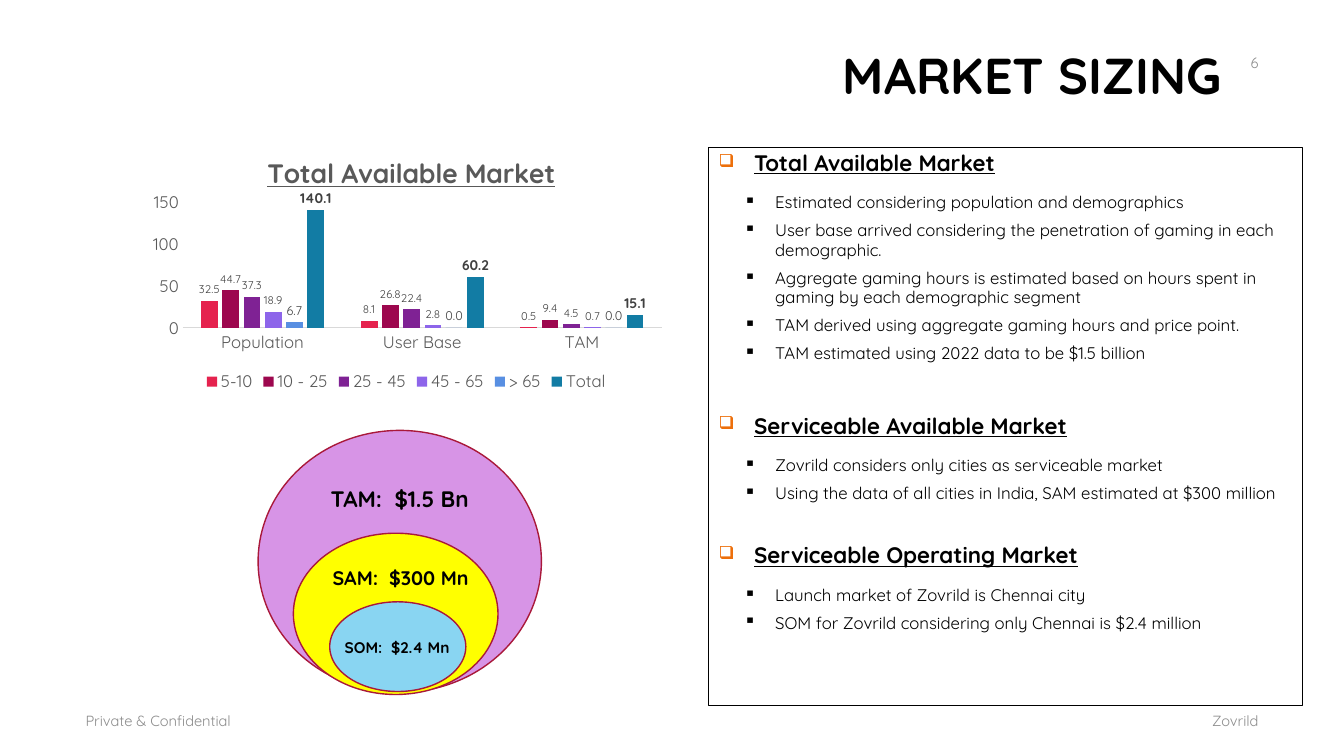
from dataclasses import dataclass

from lxml import etree
from pptx import Presentation
from pptx.chart.data import CategoryChartData
from pptx.dml.color import RGBColor
from pptx.enum.chart import XL_CHART_TYPE, XL_LABEL_POSITION, XL_LEGEND_POSITION, XL_TICK_MARK
from pptx.enum.shapes import MSO_SHAPE
from pptx.enum.text import MSO_ANCHOR, PP_ALIGN
from pptx.oxml.ns import qn
from pptx.util import Inches, Pt

FONT = "Quicksand"
BLACK = RGBColor(0x00, 0x00, 0x00)
FOOTER_GRAY = RGBColor(0x8C, 0x8C, 0x8C)
AXIS_GRAY = RGBColor(0x59, 0x59, 0x59)
LABEL_GRAY = RGBColor(0x40, 0x40, 0x40)
LINE_GRAY = RGBColor(0xD9, 0xD9, 0xD9)
ORANGE = RGBColor(0xED, 0x6F, 0x0A)
CRIMSON = RGBColor(0xA9, 0x19, 0x3A)
ORCHID = RGBColor(0xD7, 0x94, 0xE6)
YELLOW = RGBColor(0xFF, 0xFF, 0x00)
SKY = RGBColor(0x89, 0xD5, 0xF2)

LEFT, RIGHT, CENTER = PP_ALIGN.LEFT, PP_ALIGN.RIGHT, PP_ALIGN.CENTER
TOP, MIDDLE = MSO_ANCHOR.TOP, MSO_ANCHOR.MIDDLE
OVAL, RECTANGLE = MSO_SHAPE.OVAL, MSO_SHAPE.RECTANGLE
NO_TICK = XL_TICK_MARK.NONE
Box = tuple[float, float, float, float]


@dataclass
class AgeGroup:
    name: str
    values: tuple[float, float, float]
    color: RGBColor
    label_size: int = 8
    bold: bool = False


@dataclass
class Market:
    oval: Box
    fill: RGBColor
    label: str
    label_box: Box
    size: int


@dataclass
class Section:
    heading: str
    space_before: float
    points: list[str]


AGE_GROUPS = [
    AgeGroup("5-10", (32.5, 8.1, 0.5), RGBColor(0xE5, 0x22, 0x4E)),
    AgeGroup("10 - 25", (44.7, 26.8, 9.4), RGBColor(0x9D, 0x07, 0x4E)),
    AgeGroup("25 - 45", (37.3, 22.4, 4.5), RGBColor(0x7F, 0x22, 0x94)),
    AgeGroup("45 - 65", (18.9, 2.8, 0.7), RGBColor(0x8D, 0x65, 0xEA)),
    AgeGroup("> 65", (6.7, 0, 0), RGBColor(0x58, 0x8F, 0xE2), 9),
    AgeGroup("Total", (140.1, 60.2, 15.1), RGBColor(0x12, 0x7C, 0xA4), 10, True),
]
MARKETS = [
    Market((2.56, 4.27, 2.81, 2.6), ORCHID, "TAM:  $1.5 Bn", (3.18, 4.76, 1.76, 0.37), 16),
    Market((2.91, 5.29, 2.03, 1.6), YELLOW, "SAM:  $300 Mn", (3.2, 5.57, 1.57, 0.34), 14),
    Market((3.27, 5.97, 1.35, 0.89), SKY, "SOM:  $2.4 Mn", (3.32, 6.28, 1.32, 0.29), 11),
]
SECTIONS = [
    Section("Total Available Market", 0, [
        "Estimated considering population and demographics",
        "User base arrived considering the penetration of gaming in each demographic.",
        "Aggregate gaming hours is estimated based on hours spent in gaming by each demographic segment",
        "TAM derived using aggregate gaming hours and price point.",
        "TAM estimated using 2022 data to be $1.5 billion",
    ]),
    Section("Serviceable Available Market", 36.5, [
        "Zovrild considers only cities as serviceable market",
        "Using the data of all cities in India, SAM estimated at $300 million",
    ]),
    Section("Serviceable Operating Market", 29.5, [
        "Launch market of Zovrild is Chennai city",
        "SOM for Zovrild considering only Chennai is $2.4 million",
    ]),
]


def style_font(font, size: float, color: RGBColor, bold: bool = False, underline: bool = False) -> None:
    font.name, font.size, font.bold, font.underline = FONT, Pt(size), bold, underline
    font.color.rgb = color


def add_text(page, text: str, box: Box, *, size: float, color: RGBColor = BLACK, bold: bool = False,
             align=LEFT, anchor=MIDDLE, wrap: bool = True) -> None:
    frame = page.shapes.add_textbox(*map(Inches, box)).text_frame
    frame.word_wrap, frame.vertical_anchor = wrap, anchor
    para = frame.paragraphs[0]
    para.alignment = align
    span = para.add_run()
    span.text = text
    style_font(span.font, size, color, bold)


def add_outlined_shape(page, kind, box: Box, line: RGBColor, width: float, fill: RGBColor | None = None):
    shape = page.shapes.add_shape(kind, *map(Inches, box))
    shape.shadow.inherit = False
    if fill is None:
        shape.fill.background()
    else:
        shape.fill.solid()
        shape.fill.fore_color.rgb = fill
    shape.line.color.rgb, shape.line.width = line, Pt(width)
    return shape


def add_bullet(para, mark: str, color: RGBColor, indent: float, hanging: float, percent: int = 100) -> None:
    props = para._p.get_or_add_pPr()
    props.set("marL", str(Inches(indent)))
    props.set("indent", str(-Inches(hanging)))
    tint = etree.SubElement(props, qn("a:buClr"))
    etree.SubElement(tint, qn("a:srgbClr")).set("val", str(color))
    etree.SubElement(props, qn("a:buSzPct")).set("val", str(percent * 1000))
    etree.SubElement(props, qn("a:buChar")).set("char", mark)


def add_sections(page, box: Box) -> None:
    frame = add_outlined_shape(page, RECTANGLE, box, BLACK, 0.75).text_frame
    frame.word_wrap, frame.vertical_anchor = True, TOP
    for number, section in enumerate(SECTIONS):
        para = frame.add_paragraph() if number else frame.paragraphs[0]
        add_bullet(para, "❑", ORANGE, 0.35, 0.35, 80)
        para.alignment, para.line_spacing, para.space_before = LEFT, 0.9, Pt(section.space_before)
        span = para.add_run()
        span.text = section.heading
        style_font(span.font, 16, BLACK, True, True)
        for position, point in enumerate(section.points):
            para = frame.add_paragraph()
            para.level = 1
            add_bullet(para, "▪", BLACK, 0.56, 0.31)
            para.alignment, para.line_spacing = LEFT, 0.97
            para.space_before = Pt(6 if position else 12)
            span = para.add_run()
            span.text = point
            style_font(span.font, 12, BLACK)


def place_chart_part(element, index: int, **fractions: float) -> None:
    for stale in element.findall(qn("c:layout")):
        element.remove(stale)
    layout = etree.Element(qn("c:layout"))
    manual = etree.SubElement(layout, qn("c:manualLayout"))
    settings = {"xMode": "edge", "yMode": "edge", **fractions}
    if "w" in fractions:
        settings = {"layoutTarget": "inner", **settings}
    for name, value in settings.items():
        etree.SubElement(manual, qn(f"c:{name}")).set("val", str(value))
    element.insert(index, layout)


def add_market_chart(page, box: Box) -> None:
    data = CategoryChartData(number_format="0.0")
    data.categories = ["Population", "User Base", "TAM"]
    for group in AGE_GROUPS:
        data.add_series(group.name, group.values)
    chart = page.shapes.add_chart(XL_CHART_TYPE.COLUMN_CLUSTERED, *map(Inches, box), data).chart
    style_font(chart.font, 10, BLACK)
    chart.has_title = True
    para = chart.chart_title.text_frame.paragraphs[0]
    span = para.add_run()
    span.text = "Total Available Market"
    style_font(span.font, 19, AXIS_GRAY, True, True)
    place_chart_part(chart.chart_title._element, 1, x=0.23, y=0.06)
    place_chart_part(chart._chartSpace.chart.plotArea, 0, x=0.08, y=0.26, w=0.9, h=0.48)
    chart.has_legend = True
    chart.legend.position = XL_LEGEND_POSITION.BOTTOM
    chart.legend.include_in_layout = False
    style_font(chart.legend.font, 12, AXIS_GRAY)
    for axis in (chart.category_axis, chart.value_axis):
        axis.major_tick_mark = axis.minor_tick_mark = NO_TICK
        axis.has_major_gridlines = False
        style_font(axis.tick_labels.font, 12, AXIS_GRAY)
    chart.category_axis.format.line.color.rgb = LINE_GRAY
    chart.category_axis.format.line.width = Pt(0.75)
    scale = chart.value_axis
    scale.format.line.fill.background()
    scale.minimum_scale, scale.maximum_scale, scale.major_unit = 0, 150, 50
    scale.tick_labels.number_format, scale.tick_labels.number_format_is_linked = "0", False
    plot = chart.plots[0]
    plot.gap_width, plot.overlap, plot.vary_by_categories = 219, -27, False
    for group, series in zip(AGE_GROUPS, plot.series):
        series.format.fill.solid()
        series.format.fill.fore_color.rgb = group.color
        labels = series.data_labels
        labels.show_value, labels.position = True, XL_LABEL_POSITION.OUTSIDE_END
        labels.number_format, labels.number_format_is_linked = "0.0", False
        style_font(labels.font, group.label_size, LABEL_GRAY, group.bold)


def main() -> None:
    deck = Presentation()
    deck.slide_width, deck.slide_height = Inches(13.33), Inches(7.5)
    page = deck.slides.add_slide(deck.slide_layouts[6])
    add_text(page, "MARKET SIZING", (0.71, 0.4, 11.5, 0.68), size=36, bold=True, align=RIGHT)
    add_text(page, "Zovrild", (9.4, 6.95, 3.18, 0.4), size=10.5, color=FOOTER_GRAY, align=RIGHT)
    add_text(page, "Private & Confidential", (0.75, 6.95, 8.5, 0.4), size=10.5, color=FOOTER_GRAY)
    add_text(page, "6", (9.58, 0.42, 3, 0.4), size=10.5, color=FOOTER_GRAY, align=RIGHT)
    add_market_chart(page, (1.39, 1.33, 5.28, 2.6))
    for market in MARKETS:
        add_outlined_shape(page, OVAL, market.oval, CRIMSON, 1, market.fill)
    for market in MARKETS:
        add_text(page, market.label, market.label_box, size=market.size, bold=True, anchor=TOP, wrap=False)
    add_sections(page, (7.03, 1.46, 5.89, 5.54))
    deck.save("out.pptx")


if __name__ == "__main__":
    main()
